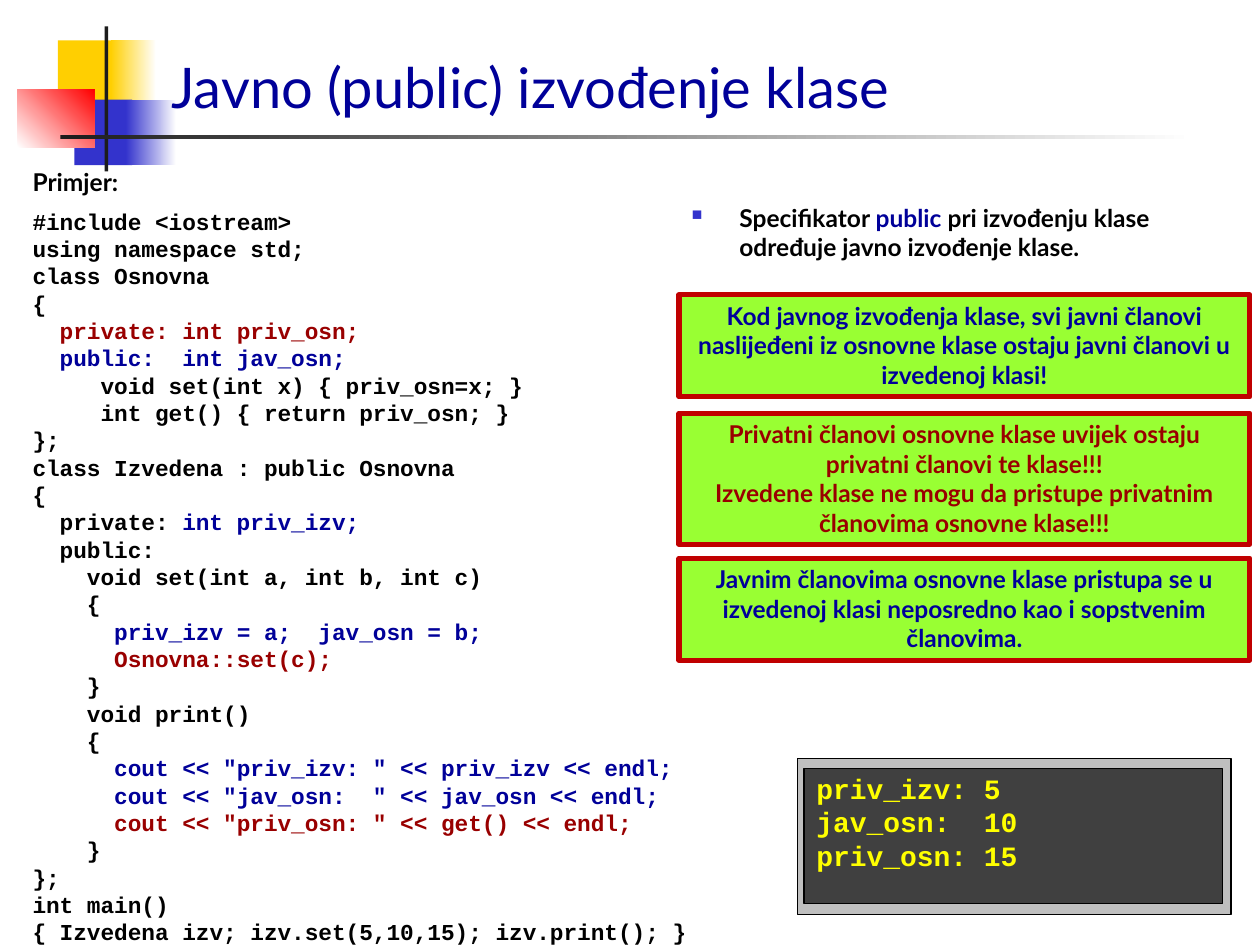
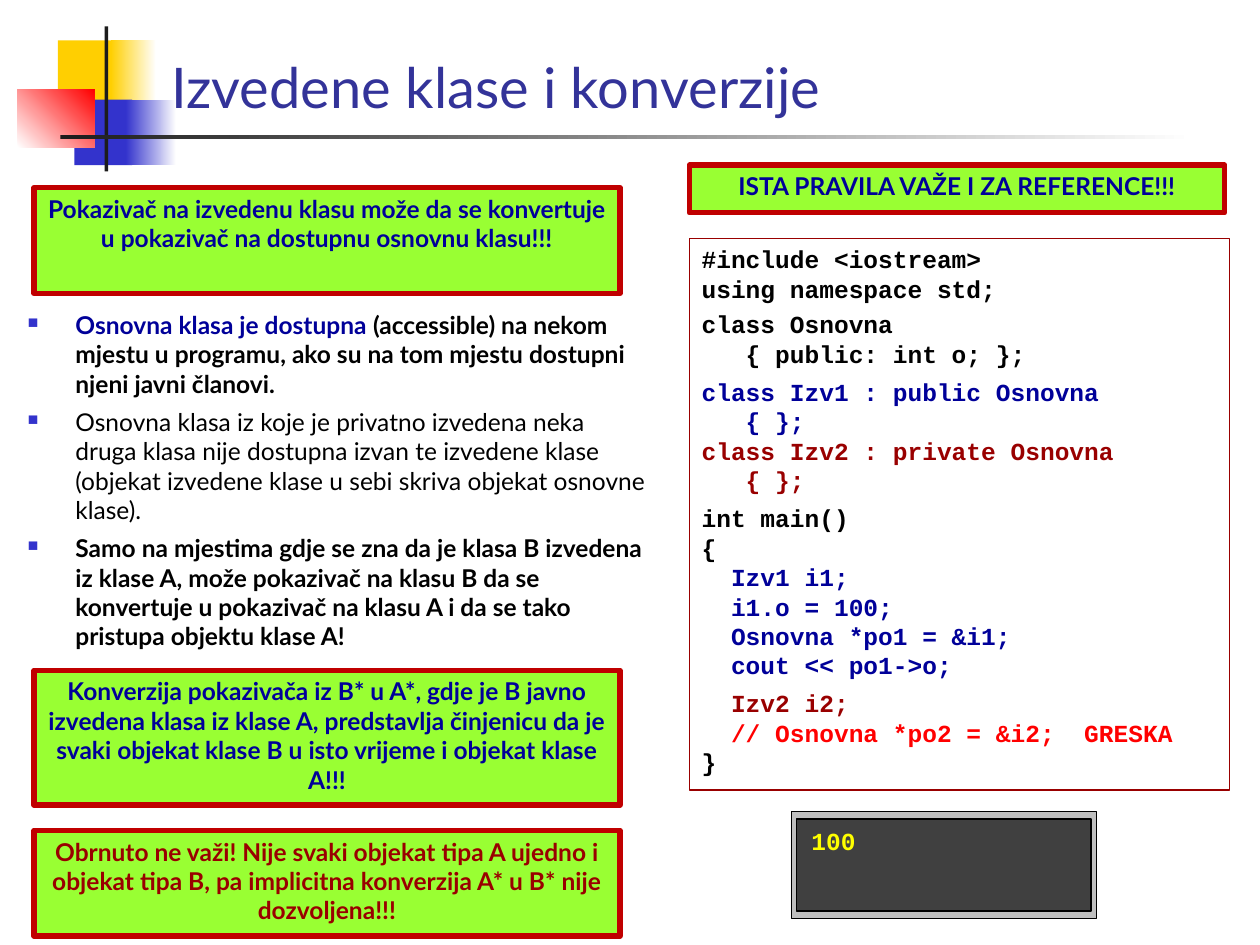
from dataclasses import dataclass

from lxml.etree import SubElement
from pptx import Presentation
from pptx.dml.color import RGBColor
from pptx.enum.shapes import MSO_SHAPE
from pptx.enum.text import MSO_ANCHOR, PP_ALIGN
from pptx.oxml.ns import qn
from pptx.util import Inches, Pt

COLUMNS, ROWS = 100, 75
CELL = Inches(0.1)

NAVY = RGBColor(0x00, 0x00, 0x99)
INDIGO = RGBColor(0x33, 0x33, 0x99)
BLUE = RGBColor(0x33, 0x33, 0xCC)
MAROON = RGBColor(0x99, 0x00, 0x00)
CRIMSON = RGBColor(0xC0, 0x00, 0x00)
RED = RGBColor(0xFF, 0x00, 0x00)
GOLD = RGBColor(0xFF, 0xCF, 0x01)
YELLOW = RGBColor(0xFF, 0xFF, 0x00)
LIME = RGBColor(0x99, 0xFF, 0x33)
BLACK = RGBColor(0x00, 0x00, 0x00)
INK = RGBColor(0x1C, 0x1C, 0x1C)
CHARCOAL = RGBColor(0x40, 0x40, 0x40)
SILVER = RGBColor(0xBF, 0xBF, 0xBF)
WHITE = RGBColor(0xFF, 0xFF, 0xFF)

SANS, MONO = "Lato", "Courier New"


@dataclass
class Paragraph:
    """Coloured runs of one paragraph with the format that varies."""

    runs: list
    before: float = 0
    bold: bool = True
    font: str = ""
    size: float = 0


def lines(color, *texts, before=0):
    """Make one paragraph per text, with space above the first."""
    return [Paragraph([(text, color)], 0 if i else before) for i, text in enumerate(texts)]


def grid(*cells):
    """Turn column, row, width and height in cells into lengths."""
    return [round(cell * CELL) for cell in cells]


def add_bullet(paragraph):
    """Give a paragraph a hanging square bullet."""
    properties = paragraph._p.get_or_add_pPr()
    properties.set("marL", str(Inches(0.38)))
    properties.set("indent", str(-Inches(0.38)))
    color = SubElement(properties, qn("a:buClr"))
    SubElement(color, qn("a:srgbClr"), val=str(BLUE))
    SubElement(properties, qn("a:buSzPct"), val="60000")
    SubElement(properties, qn("a:buChar"), char="■")


def write(shape, paragraphs, font=SANS, size=14, align=PP_ALIGN.LEFT,
          anchor=MSO_ANCHOR.TOP, bullets=False, side_margin=0.1):
    """Fill a shape with formatted paragraphs."""
    frame = shape.text_frame
    frame.word_wrap = True
    frame.vertical_anchor = anchor
    frame.margin_left = frame.margin_right = Inches(side_margin)
    for i, content in enumerate(paragraphs):
        paragraph = frame.add_paragraph() if i else frame.paragraphs[0]
        paragraph.alignment = align
        paragraph.space_before = Pt(content.before)
        if bullets:
            add_bullet(paragraph)
        for text, color in content.runs:
            run = paragraph.add_run()
            run.text = text
            run.font.name = content.font or font
            run.font.size = Pt(content.size or size)
            run.font.bold = content.bold
            run.font.color.rgb = color


def add_box(shapes, cells, fill=None, fade_to=None, angle=0, line=None, width=0):
    """Add a rectangle with a plain, fading or empty fill."""
    box = shapes.add_shape(MSO_SHAPE.RECTANGLE, *grid(*cells))
    box.shadow.inherit = False
    if fade_to is not None:
        box.fill.gradient()
        box.fill.gradient_angle = angle
        for stop, color in zip(box.fill.gradient_stops, (fill, fade_to)):
            stop.color.rgb = color
    elif fill is not None:
        box.fill.solid()
        box.fill.fore_color.rgb = fill
    else:
        box.fill.background()
    if line is None:
        box.line.fill.background()
    else:
        box.line.color.rgb = line
        box.line.width = Pt(width)
    return box


def add_text(slide, cells, paragraphs, **text_format):
    """Add a text box with formatted paragraphs."""
    write(slide.shapes.add_textbox(*grid(*cells)), paragraphs, **text_format)


def add_callout(slide, cells, color, *texts):
    """Add a green box with a red frame and centred statements."""
    box = add_box(slide.shapes, cells, LIME, line=CRIMSON, width=3)
    write(box, lines(color, *texts), align=PP_ALIGN.CENTER)


def add_console(slide, case, screen, output, size, *texts):
    """Add a console window with its program output."""
    window = slide.shapes.add_group_shape()
    for cells, fill in ((case, SILVER), (screen, CHARCOAL)):
        add_box(window.shapes, cells, fill, line=BLACK)
    add_text(slide, output, lines(YELLOW, *texts), font=MONO, size=size, side_margin=0)


def add_title_slide(presentation, title, color):
    """Add a title-only slide and format its title."""
    slide = presentation.slides.add_slide(presentation.slide_layouts[5])
    heading = slide.shapes.title
    heading.left, heading.top, heading.width, heading.height = grid(12.6, 1.3, 87.4, 8.7)
    write(heading, [Paragraph([(title, color)], bold=False)], size=32,
          anchor=MSO_ANCHOR.BOTTOM)
    return slide


def decorate_layout(slide):
    """Put the coloured squares and the rules on the shared layout."""
    ornaments = (
        ((4.6, 3.2, 4.8, 5.2), GOLD, None, 0),
        ((8.8, 3.2, 3.6, 5.2), GOLD, WHITE, 0),
        ((5.9, 7.9, 4.6, 5.2), BLUE, None, 0),
        ((10, 7.9, 4, 5.2), BLUE, WHITE, 0),
        ((1.4, 7.1, 6.1, 4.6), WHITE, RED, 45),
        ((8.3, 2.1, 0.3, 11.5), INK, None, 0),
        ((4.8, 10.7, 90, 0.3), INK, WHITE, 0),
    )
    layout_tree = slide.slide_layout.element.cSld.spTree
    for cells, fill, fade_to, angle in ornaments:
        layout_tree.append(add_box(slide.shapes, cells, fill, fade_to, angle).element)


def build_public_derivation(presentation):
    """Build the slide on public derivation."""
    slide = add_title_slide(presentation, "Javno (public) izvođenje klase", NAVY)
    decorate_layout(slide)
    rule = Paragraph([("Specifikator ", BLACK), ("public", NAVY),
                      (" pri izvođenju klase određuje javno izvođenje klase.", BLACK)])
    add_text(slide, (53.9, 15.6, 45.3, 7.2), [rule], bullets=True)
    statements = (
        (23.4, 8.1, NAVY, ["Kod javnog izvođenja klase, svi javni članovi naslijeđeni iz "
                           "osnovne klase ostaju javni članovi u izvedenoj klasi!"]),
        (32.8, 10.4, MAROON, ["Privatni članovi osnovne klase uvijek ostaju privatni "
                              "članovi te klase!!!",
                              "Izvedene klase ne mogu da pristupe privatnim članovima "
                              "osnovne klase!!!"]),
        (44.3, 8.1, NAVY, ["Javnim članovima osnovne klase pristupa se u izvedenoj klasi "
                           "neposredno kao i sopstvenim članovima."]),
    )
    for row, height, color, texts in statements:
        add_callout(slide, (53.9, row, 45.3, height), color, *texts)
    program = [
        Paragraph([("Primjer:", BLACK)], font=SANS, size=14),
        *lines(BLACK, "#include <iostream>", "using namespace std;", "class Osnovna", "{",
               before=6),
        *lines(MAROON, "  private: int priv_osn;"),
        *lines(NAVY, "  public:  int jav_osn;"),
        *lines(BLACK, "     void set(int x) { priv_osn=x; }",
               "     int get() { return priv_osn; }", "};",
               "class Izvedena : public Osnovna", "{"),
        Paragraph([("  private: ", BLACK), ("int priv_izv;", NAVY)]),
        *lines(BLACK, "  public:", "    void set(int a, int b, int c)", "    {"),
        *lines(NAVY, "      priv_izv = a;  jav_osn = b;"),
        *lines(MAROON, "      Osnovna::set(c);"),
        *lines(BLACK, "    }", "    void print()", "    {"),
        *lines(NAVY, '      cout << "priv_izv: " << priv_izv << endl;',
               '      cout << "jav_osn:  " << jav_osn << endl;'),
        *lines(MAROON, '      cout << "priv_osn: " << get() << endl;'),
        *lines(BLACK, "    }", "};", "int main()",
               "{ Izvedena izv; izv.set(5,10,15); izv.print(); }"),
    ]
    add_text(slide, (1.6, 12.8, 60.2, 60.9), program, font=MONO, size=13)
    add_console(slide, (63.3, 60.2, 34.4, 12.4), (63.8, 61, 33.2, 10.7),
                (64.8, 60.7, 30.5, 9.1), 16, "priv_izv: 5", "jav_osn:  10", "priv_osn: 15")


def build_conversions(presentation):
    """Build the slide on derived classes and conversions."""
    slide = add_title_slide(presentation, "Izvedene klase i konverzije", INDIGO)
    access_rules = [
        Paragraph([("Osnovna klasa je dostupna", NAVY),
                   (" (accessible) na nekom mjestu u programu, ako su na tom mjestu "
                    "dostupni njeni javni članovi.", BLACK)]),
        Paragraph([("Osnovna klasa iz koje je privatno izvedena neka druga klasa nije "
                    "dostupna izvan te izvedene klase (objekat izvedene klase u sebi "
                    "skriva objekat osnovne klase).", BLACK)], before=5, bold=False),
        Paragraph([("Samo na mjestima gdje se zna da je klasa B izvedena iz klase A, može "
                    "pokazivač na klasu B da se konvertuje u pokazivač na klasu A i da se "
                    "tako pristupa objektu klase A!", BLACK)], before=5),
    ]
    add_text(slide, (1.2, 24.1, 51.2, 29.9), access_rules, bullets=True)
    program = [
        *lines(BLACK, "#include <iostream>", "using namespace std;"),
        *lines(BLACK, "class Osnovna", "   { public: int o; };", before=3.5),
        *lines(NAVY, "class Izv1 : public Osnovna", "   { };", before=5),
        *lines(MAROON, "class Izv2 : private Osnovna", "   { };"),
        *lines(BLACK, "int main()", "{", before=5),
        *lines(NAVY, "  Izv1 i1;", "  i1.o = 100;", "  Osnovna *po1 = &i1;",
               "  cout << po1->o;"),
        *lines(MAROON, "  Izv2 i2;", before=5),
        *lines(RED, "  // Osnovna *po2 = &i2;  GRESKA"),
        *lines(BLACK, "}"),
    ]
    listing = add_box(slide.shapes, (54.7, 18.9, 42.9, 43.8), line=MAROON, width=0.75)
    write(listing, program, font=MONO)
    add_console(slide, (62.8, 64.4, 24.2, 8.5), (63.2, 65, 23.4, 7.3),
                (64.4, 65.1, 21.9, 3.3), 14, "100")
    statements = (
        (14.9, 8.4, NAVY, "Pokazivač na izvedenu klasu može da se konvertuje u pokazivač na "
                          "dostupnu osnovnu klasu!!!"),
        (53.2, 10.7, NAVY, "Konverzija pokazivača iz B* u A*, gdje je B javno izvedena klasa "
                           "iz klase A, predstavlja činjenicu da je svaki objekat klase B u "
                           "isto vrijeme i objekat klase A!!!"),
        (65.9, 8.4, MAROON, "Obrnuto ne važi! Nije svaki objekat tipa A ujedno i objekat tipa "
                            "B, pa implicitna konverzija A* u B* nije dozvoljena!!!"),
    )
    for row, height, color, text in statements:
        add_callout(slide, (2.7, row, 46.5, height), color, text)
    add_callout(slide, (54.7, 13.1, 42.5, 3.8), NAVY, "ISTA PRAVILA VAŽE I ZA REFERENCE!!!")


def main():
    """Build and save the presentation."""
    presentation = Presentation()
    presentation.slide_width, presentation.slide_height = grid(COLUMNS, ROWS)
    build_public_derivation(presentation)
    build_conversions(presentation)
    presentation.save("out.pptx")


if __name__ == "__main__":
    main()
